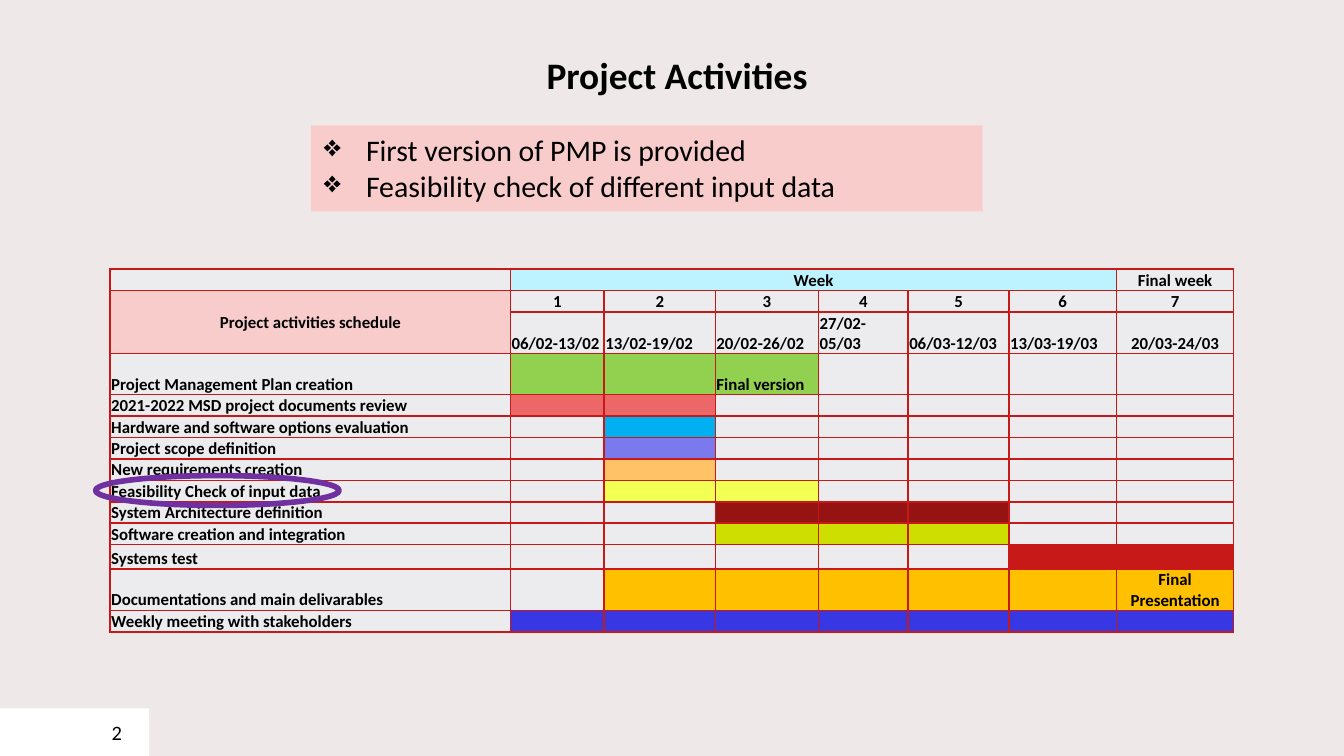
import pptx
import pptx.util
import pptx.dml.color
import pptx.enum.shapes
import pptx.enum.text
import pptx.oxml
import pptx.oxml.ns

Pt = pptx.util.Pt
RGB = pptx.dml.color.RGBColor
ALIGN = pptx.enum.text.PP_ALIGN
ANCHOR = pptx.enum.text.MSO_ANCHOR
SHAPE = pptx.enum.shapes.MSO_SHAPE

BLACK = RGB(0x00, 0x00, 0x00)
WHITE = RGB(0xFF, 0xFF, 0xFF)
BACKDROP = RGB(0xEE, 0xE8, 0xE8)
PINK = RGB(0xF9, 0xCC, 0xCC)
PURPLE = RGB(0x70, 0x30, 0xA0)
GRAY = RGB(0xEC, 0xEC, 0xEF)
CYAN = RGB(0xBD, 0xF2, 0xFF)
GREEN = RGB(0x92, 0xD0, 0x50)
CORAL = RGB(0xEC, 0x67, 0x67)
SKY = RGB(0x00, 0xB0, 0xF0)
VIOLET = RGB(0x7A, 0x7A, 0xEC)
ORANGE = RGB(0xFF, 0xC2, 0x66)
YELLOW = RGB(0xF2, 0xFF, 0x53)
MAROON = RGB(0x96, 0x13, 0x13)
LIME = RGB(0xCE, 0xDF, 0x00)
RED = RGB(0xC8, 0x19, 0x19)
AMBER = RGB(0xFF, 0xC0, 0x00)
BLUE = RGB(0x37, 0x37, 0xE3)

FONT = "Calibri"
COLUMN_WIDTHS = [214.5, 50.2, 59.6, 55.3, 48, 54, 57.6, 62.8]
LINE_HEIGHT, TEST_HEIGHT, TALL_HEIGHT = 11.5, 13, 22
DATES = ["06/02-13/02", "13/02-19/02", "20/02-26/02", "27/02-05/03",
         "06/03-12/03", "13/03-19/03", "20/03-24/03"]
ACTIVITIES = [
    ("Project Management Plan creation", 1, 3, GREEN, TALL_HEIGHT),
    ("2021-2022 MSD project documents review", 1, 2, CORAL, LINE_HEIGHT),
    ("Hardware and software options evaluation", 2, 2, SKY, LINE_HEIGHT),
    ("Project scope definition", 2, 2, VIOLET, LINE_HEIGHT),
    ("New requirements creation", 2, 2, ORANGE, LINE_HEIGHT),
    ("Feasibility Check of input data", 2, 3, YELLOW, LINE_HEIGHT),
    ("System Architecture definition", 3, 5, MAROON, LINE_HEIGHT),
    ("Software creation and integration", 3, 5, LIME, LINE_HEIGHT),
    ("Systems test", 6, 7, RED, TEST_HEIGHT),
    ("Documentations and main delivarables", 2, 7, AMBER, TALL_HEIGHT),
    ("Weekly meeting with stakeholders", 1, 7, BLUE, LINE_HEIGHT),
]
MILESTONES = {("Project Management Plan creation", 3): "Final version",
              ("Documentations and main delivarables", 7): "Final Presentation"}


def apply_format(target, values):
    for attribute, value in values.items():
        setattr(target, attribute, value)


def add_xml(parent, xml, index=None):
    declared = xml.replace(" ", " " + pptx.oxml.ns.nsdecls("a") + " ", 1)
    element = pptx.oxml.parse_xml(declared)
    parent.insert(len(parent) if index is None else index, element)


def write_line(paragraph, text, size, bold=False, align=ALIGN.LEFT):
    paragraph.alignment = align
    if not text:
        add_xml(paragraph._p, f'<a:endParaRPr sz="{size * 100}"/>')
        return
    run = paragraph.add_run()
    run.text = text
    apply_format(run.font, {"name": FONT, "size": Pt(size), "bold": bold})
    run.font.color.rgb = BLACK


def add_title(slide, text):
    title = slide.shapes.add_textbox(Pt(51), Pt(25), Pt(623.5), Pt(29.5)).text_frame
    apply_format(title, {"word_wrap": True, "margin_left": 0, "margin_right": 0,
                         "margin_top": 0, "margin_bottom": 0})
    title.paragraphs[0].line_spacing = Pt(27)
    write_line(title.paragraphs[0], text, 20, True, ALIGN.CENTER)


def add_shape(slide, kind, box, fill=None, outline=None):
    shape = slide.shapes.add_shape(kind, *map(Pt, box))
    shape.shadow.inherit = False
    if fill is None:
        shape.fill.background()
    else:
        shape.fill.solid()
        shape.fill.fore_color.rgb = fill
    if outline is None:
        shape.line.fill.background()
    else:
        shape.line.color.rgb = outline
        shape.line.width = Pt(3)
    return shape


def add_page_number(slide, number):
    frame = add_shape(slide, SHAPE.RECTANGLE, (0, 379.5, 80, 25.5), WHITE).text_frame
    apply_format(frame, {"margin_left": Pt(59.8), "margin_right": 0, "margin_top": 0,
                         "margin_bottom": 0, "vertical_anchor": ANCHOR.MIDDLE})
    write_line(frame.paragraphs[0], number, 11)


def add_highlights(slide, lines):
    frame = add_shape(slide, SHAPE.RECTANGLE, (166.5, 67.2, 360, 46), PINK).text_frame
    apply_format(frame, {"word_wrap": True, "vertical_anchor": ANCHOR.TOP})
    for index, line in enumerate(lines):
        paragraph = frame.add_paragraph() if index else frame.paragraphs[0]
        write_line(paragraph, line, 16)
        properties = paragraph._p.get_or_add_pPr()
        properties.set("marL", str(Pt(22.5)))
        properties.set("indent", str(-Pt(22.5)))
        add_xml(properties, '<a:buChar char="\u2756"/>')


def fill_cell(cell, text="", fill=GRAY, align=ALIGN.LEFT, anchor=ANCHOR.BOTTOM):
    apply_format(cell, {"margin_left": Pt(0.6), "margin_right": Pt(0.6),
                        "margin_top": Pt(0.6), "margin_bottom": 0,
                        "vertical_anchor": anchor})
    cell.fill.solid()
    cell.fill.fore_color.rgb = fill
    write_line(cell.text_frame.paragraphs[0], text, 9, True, align)
    for index, side in enumerate("LRTB"):
        add_xml(cell._tc.get_or_add_tcPr(),
                f'<a:ln{side} w="{Pt(1)}"><a:solidFill><a:srgbClr val="{RED}"/>'
                f'</a:solidFill></a:ln{side}>', index)


def add_schedule(slide):
    heights = [LINE_HEIGHT, LINE_HEIGHT, TALL_HEIGHT] + [a[-1] for a in ACTIVITIES]
    schedule = slide.shapes.add_table(
        len(heights), len(COLUMN_WIDTHS), Pt(59), Pt(144.2),
        Pt(sum(COLUMN_WIDTHS)), Pt(sum(heights))).table
    apply_format(schedule, {"first_row": False, "horz_banding": False})
    for column, width in zip(schedule.columns, COLUMN_WIDTHS):
        column.width = Pt(width)
    for row, height in zip(schedule.rows, heights):
        row.height = Pt(height)

    schedule.cell(0, 1).merge(schedule.cell(0, 6))
    schedule.cell(1, 0).merge(schedule.cell(2, 0))
    fill_cell(schedule.cell(0, 0))
    fill_cell(schedule.cell(1, 0), "Project activities schedule", PINK,
              ALIGN.CENTER, ANCHOR.MIDDLE)
    fill_cell(schedule.cell(2, 0), fill=PINK)
    for week, dates in enumerate(DATES, 1):
        final = week == len(DATES)
        heading = {1: "Week", 7: "Final week"}.get(week, "")
        fill_cell(schedule.cell(0, week), heading, GRAY if final else CYAN, ALIGN.CENTER)
        fill_cell(schedule.cell(1, week), str(week), align=ALIGN.CENTER)
        fill_cell(schedule.cell(2, week), dates,
                  align=ALIGN.CENTER if final else ALIGN.LEFT)

    for row, (activity, start, end, color, _) in enumerate(ACTIVITIES, 3):
        fill_cell(schedule.cell(row, 0), activity)
        for week in range(1, len(DATES) + 1):
            fill_cell(schedule.cell(row, week), MILESTONES.get((activity, week), ""),
                      color if start <= week <= end else GRAY,
                      ALIGN.CENTER if week == len(DATES) else ALIGN.LEFT)


def main():
    deck = pptx.Presentation()
    apply_format(deck, {"slide_width": Pt(720), "slide_height": Pt(405)})
    slide = deck.slides.add_slide(deck.slide_layouts[6])
    slide.background.fill.solid()
    slide.background.fill.fore_color.rgb = BACKDROP
    add_title(slide, "Project Activities")
    add_page_number(slide, "2")
    add_highlights(slide, ["First version of PMP is provided",
                           "Feasibility check of different input data"])
    add_schedule(slide)
    add_shape(slide, SHAPE.OVAL, (51.2, 254.8, 130.5, 16), outline=PURPLE)
    deck.save("out.pptx")


main()
